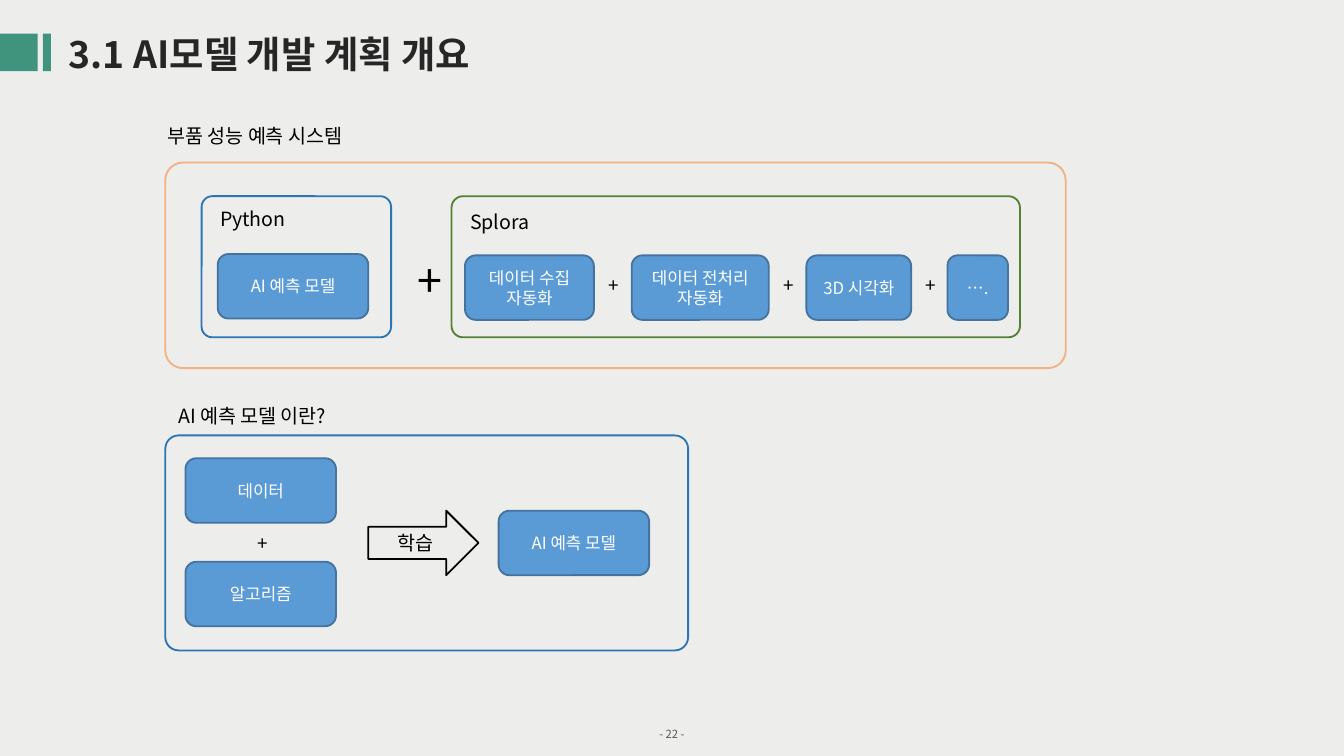
from dataclasses import dataclass
from typing import Optional

from lxml.etree import SubElement
from pptx import Presentation
from pptx.dml.color import RGBColor
from pptx.enum.shapes import MSO_SHAPE as SHAPE
from pptx.enum.text import MSO_ANCHOR as ANCHOR, MSO_AUTO_SIZE as AUTO, PP_ALIGN as ALIGN
from pptx.oxml.ns import qn
from pptx.util import Inches, Pt


@dataclass(frozen=True)
class Theme:
    font: str = "Noto Sans CJK KR"
    background: str = "EDEDEB"
    accent: str = "40937D"
    title: str = "262626"
    text: str = "000000"
    footer: str = "595959"
    box_text: str = "FFFFFF"
    box: str = "5B9BD5"
    box_line: str = "43739E"
    system: str = "F4B183"
    model: str = "2E75B6"
    platform: str = "548235"
    title_size: float = 20
    big_plus_size: float = 24
    label_size: float = 10.5
    plus_size: float = 10.1
    box_size: float = 9
    footer_size: float = 6


THEME = Theme()


@dataclass(frozen=True)
class Frame:
    left: float
    top: float
    width: float
    height: float
    line: str
    radius: float


@dataclass(frozen=True)
class Box:
    text: str
    left: float
    top: float
    width: float = 1.12
    height: float = 0.48


@dataclass(frozen=True)
class Label:
    text: str
    left: float
    top: float
    width: float
    height: float = 0.28
    size: float = THEME.label_size


SLIDE_WIDTH = 10
SLIDE_HEIGHT = SLIDE_WIDTH * 9 / 16
BAR_TOP, BAR_HEIGHT = 0.25, 0.28
BARS = [(0, 0.28), (0.32, 0.06)]  # left, width
STEP_TOP, PLUS_TOP = 1.9, 1.99
MODEL_TOP = 3.8

FRAMES = [
    Frame(1.23, 1.21, 6.7, 1.53, THEME.system, 0.086),
    Frame(1.5, 1.46, 1.41, 1.05, THEME.model, 0.076),
    Frame(3.36, 1.46, 4.23, 1.05, THEME.platform, 0.081),
    Frame(1.23, 3.24, 3.89, 1.6, THEME.model, 0.062),
]
BOXES = [
    Box("AI 예측 모델", 1.62, 1.89),
    Box("데이터 수집 자동화", 3.46, STEP_TOP, 0.96),
    Box("데이터 전처리 자동화", 4.7, STEP_TOP, 1.02),
    Box("3D 시각화", 6, STEP_TOP, 0.78),
    Box("….", 7.05, STEP_TOP, 0.45),
    Box("데이터", 1.38, 3.41),
    Box("알고리즘", 1.38, 4.18),
    Box("AI 예측 모델", 3.71, MODEL_TOP),
]
LABELS = [
    Label("부품 성능 예측 시스템", 1.15, 0.87, 3.76),
    Label("Python", 1.54, 1.49, 0.76),
    Label("Splora", 3.4, 1.51, 0.71),
    Label("AI 예측 모델 이란?", 1.23, 2.96, 2.02),
    Label("+", 3.01, 1.83, 0.21, 0.5, THEME.big_plus_size),
    Label("+", 1.82, 3.91, 0.23, 0.27, THEME.plus_size),
    *(Label("+", left, PLUS_TOP, 0.21, 0.27, THEME.plus_size) for left in (4.43, 5.73, 6.79)),
]


def rgb(color: str) -> RGBColor:
    return RGBColor.from_string(color)


def write(tf, text: str, size: float, color: str, align=ALIGN.LEFT,
          anchor=ANCHOR.TOP, bold: bool = False) -> None:
    """Fill a text frame with one paragraph, in the theme font for Latin and Korean."""
    tf.word_wrap = True
    tf.auto_size = AUTO.NONE
    tf.vertical_anchor = anchor
    p = tf.paragraphs[0]
    p.text = text
    p.alignment = align
    p.font.size = Pt(size)
    p.font.bold = bold
    p.font.color.rgb = rgb(color)
    p.font.name = THEME.font
    SubElement(p._p.pPr.find(qn("a:defRPr")), qn("a:ea"), typeface=THEME.font)


def add_shape(s, kind, left: float, top: float, width: float, height: float,
              fill: Optional[str] = None, line: Optional[str] = None):
    sp = s.shapes.add_shape(kind, Inches(left), Inches(top), Inches(width), Inches(height))
    sp.shadow.inherit = False
    if fill:
        sp.fill.solid()
        sp.fill.fore_color.rgb = rgb(fill)
    else:
        sp.fill.background()
    if line:
        sp.line.color.rgb = rgb(line)
        sp.line.width = Pt(1)
    else:
        sp.line.fill.background()
    return sp


def add_frame(s, f: Frame) -> None:
    sp = add_shape(s, SHAPE.ROUNDED_RECTANGLE, f.left, f.top, f.width, f.height, line=f.line)
    sp.adjustments[0] = f.radius


def add_box(s, b: Box) -> None:
    sp = add_shape(s, SHAPE.ROUNDED_RECTANGLE, b.left, b.top, b.width, b.height,
                   THEME.box, THEME.box_line)
    write(sp.text_frame, b.text, THEME.box_size, THEME.box_text, ALIGN.CENTER, ANCHOR.MIDDLE)


def add_label(s, l: Label, color: str = THEME.text, align=ALIGN.LEFT):
    sp = s.shapes.add_textbox(Inches(l.left), Inches(l.top), Inches(l.width), Inches(l.height))
    write(sp.text_frame, l.text, l.size, color, align)
    return sp


def add_title(s, text: str) -> None:
    sp = s.shapes.title
    sp.left, sp.top, sp.width, sp.height = map(Inches, (0.41, 0.18, 5.43, 0.44))
    write(sp.text_frame, text, THEME.title_size, THEME.title, bold=True)


def add_page_number(s, text: str) -> None:
    tf = add_label(s, Label(text, 4.65, 5.37, 0.7, 0.2, THEME.footer_size),
                   THEME.footer, ALIGN.CENTER).text_frame
    tf.margin_left = tf.margin_right = Inches(0.07)
    tf.margin_top = tf.margin_bottom = Inches(0.04)


def main() -> None:
    prs = Presentation()
    prs.slide_width, prs.slide_height = Inches(SLIDE_WIDTH), Inches(SLIDE_HEIGHT)
    s = prs.slides.add_slide(prs.slide_layouts[5])
    s.background.fill.solid()
    s.background.fill.fore_color.rgb = rgb(THEME.background)

    add_page_number(s, "- 22 -")
    for left, width in BARS:
        add_shape(s, SHAPE.RECTANGLE, left, BAR_TOP, width, BAR_HEIGHT, THEME.accent)
    add_title(s, "3.1 AI모델 개발 계획 개요")
    for frame in FRAMES:
        add_frame(s, frame)
    for box in BOXES:
        add_box(s, box)
    for label in LABELS:
        add_label(s, label)
    arrow = add_shape(s, SHAPE.RIGHT_ARROW, 2.74, MODEL_TOP, 0.82, 0.48, line=THEME.text)
    write(arrow.text_frame, "학습", THEME.label_size, THEME.text, ALIGN.CENTER, ANCHOR.MIDDLE)

    prs.save("out.pptx")


if __name__ == "__main__":
    main()
